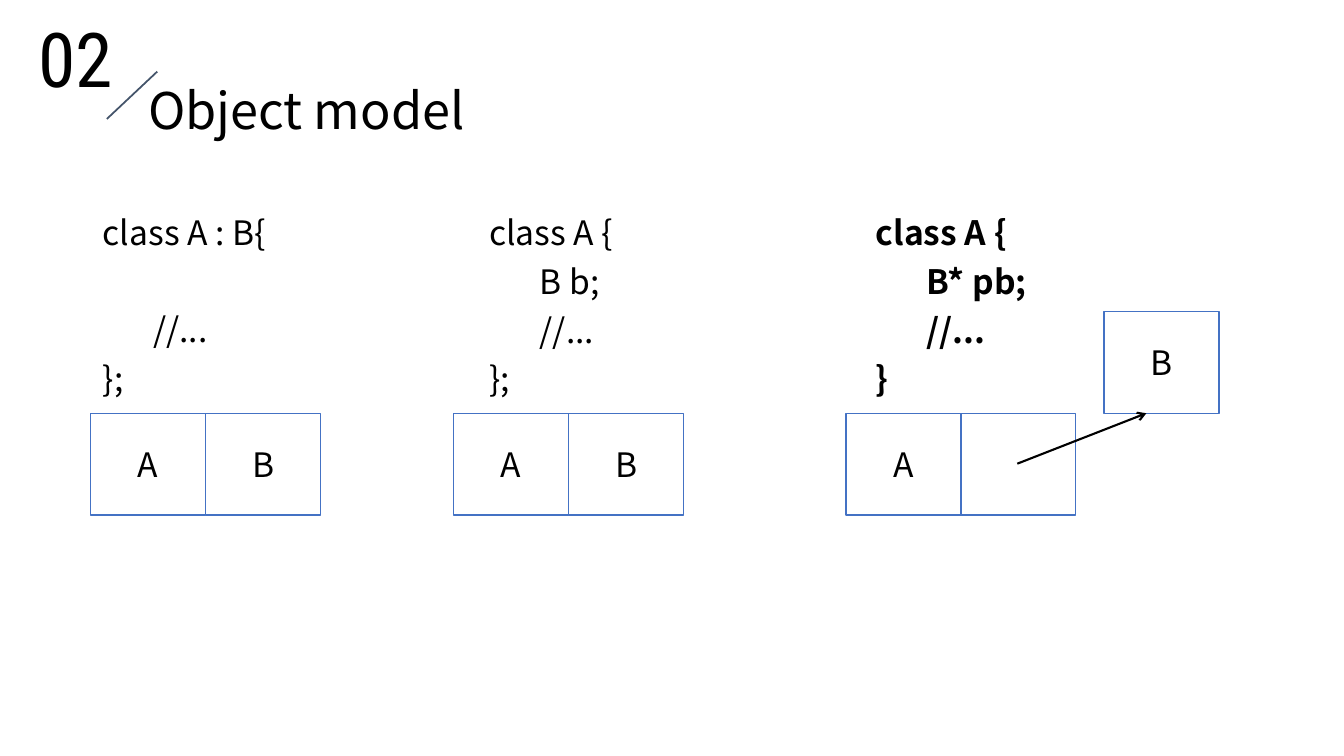
"""Build the slide on object models of class A and class B."""
import lxml.etree
import pptx
import pptx.dml.color
import pptx.enum.shapes
import pptx.enum.text
import pptx.oxml.ns
import pptx.util

Inches = pptx.util.Inches
Pt = pptx.util.Pt
RGBColor = pptx.dml.color.RGBColor
Align = pptx.enum.text.PP_ALIGN
Anchor = pptx.enum.text.MSO_ANCHOR
qn = pptx.oxml.ns.qn

BLACK = RGBColor(0x00, 0x00, 0x00)
WHITE = RGBColor(0xFF, 0xFF, 0xFF)
SLATE = RGBColor(0x44, 0x54, 0x6A)
BLUE = RGBColor(0x44, 0x72, 0xC4)

BODY = {"name": "Noto Sans CJK SC", "size": Pt(24), "bold": False}
TITLE = {**BODY, "size": Pt(36)}
NUMBER = {**BODY, "name": "Roboto Condensed", "size": Pt(54)}

CODE_LINE = Pt(34.75)
CELL_WIDTH, CELL_HEIGHT, CELL_TOP = 1.14, 1.01, 4.1
CODE = [
    ("class A : B{", "\t//...", "};"),
    ("class A {", "\tB b;", "\t//...", "};"),
    ("class A {", "\tB* pb;", "\t//...", "}"),
]
MEMORY = [(0.9, "AB"), (4.5, "AB"), (8.39, ("A", ""))]


def write(para, text, style):
    """Put one styled span of text in a paragraph."""
    span = para.add_run()
    span.text = text
    for key, value in style.items():
        setattr(span.font, key, value)
    span.font.color.rgb = BLACK


def add_label(page, place, text, style, anchor, format_values):
    """Add a text box with one paragraph."""
    box = page.shapes.add_textbox(*map(Inches, place))
    frame = box.text_frame
    frame.word_wrap = True
    frame.vertical_anchor = anchor
    para = frame.paragraphs[0]
    for key, value in format_values.items():
        setattr(para, key, value)
    write(para, text, style)
    return box


def add_line(page, start, end, color, width, arrow=False):
    """Add a straight line, with an arrowhead at its end if asked."""
    line = page.shapes.add_connector(
        pptx.enum.shapes.MSO_CONNECTOR.STRAIGHT, *map(Inches, start + end))
    line.line.color.rgb = color
    line.line.width = Pt(width)
    if arrow:
        outline = line.line._get_or_add_ln()
        lxml.etree.SubElement(outline, qn("a:tailEnd"), type="arrow")
    lxml.etree.SubElement(line._element.spPr, qn("a:effectLst"))


def add_cell(page, left, top, text):
    """Add one square of memory with its class name."""
    box = page.shapes.add_shape(
        pptx.enum.shapes.MSO_SHAPE.RECTANGLE,
        *map(Inches, (left, top, CELL_WIDTH, CELL_HEIGHT)))
    box.shadow.inherit = False
    box.fill.solid()
    box.fill.fore_color.rgb = WHITE
    box.line.color.rgb = BLUE
    box.line.width = Pt(1)
    box.text_frame.vertical_anchor = Anchor.MIDDLE
    if text:
        para = box.text_frame.paragraphs[0]
        para.alignment = Align.CENTER
        write(para, text, BODY)


def add_code_table(page):
    """Add the table with one class definition in each column."""
    table = page.shapes.add_table(
        1, len(CODE), *map(Inches, (0.92, 2, 11.5, 2.1))).table
    table.first_row = table.horz_banding = False
    for column, lines in enumerate(CODE):
        cell = table.cell(0, column)
        cell.fill.background()
        style = {**BODY, "bold": column == 2}
        for number, line in enumerate(lines):
            frame = cell.text_frame
            para = frame.add_paragraph() if number else frame.paragraphs[0]
            if line.startswith("\t"):
                para.level = 1
                para._p.get_or_add_pPr().set("marL", str(Inches(0.5)))
            if column == 0 and number == 1:
                para.space_before = CODE_LINE
            write(para, line.strip(), style)


def main():
    """Build and save the deck."""
    deck = pptx.Presentation()
    deck.slide_width, deck.slide_height = Inches(13.33), Inches(7.5)
    page = deck.slides.add_slide(deck.slide_layouts[6])
    add_label(page, (0.28, 0.07, 1.14, 1.01), "02", NUMBER, Anchor.TOP,
              {"alignment": Align.JUSTIFY})
    add_line(page, (1.56, 0.71), (1.06, 1.18), SLATE, 1.25)
    title = add_label(page, (0.92, 0.4, 11.5, 1.45), "Object model", TITLE,
                      Anchor.MIDDLE, {"line_spacing": 0.9})
    title.text_frame.margin_left = Inches(0.55)
    add_code_table(page)
    for left, names in MEMORY:
        for index, name in enumerate(names):
            add_cell(page, left + index * CELL_WIDTH, CELL_TOP, name)
    add_cell(page, 10.95, CELL_TOP - CELL_HEIGHT, "B")
    add_line(page, (10.09, 4.6), (11.37, 4.1), BLACK, 1.5, arrow=True)
    deck.save("out.pptx")


if __name__ == "__main__":
    main()
